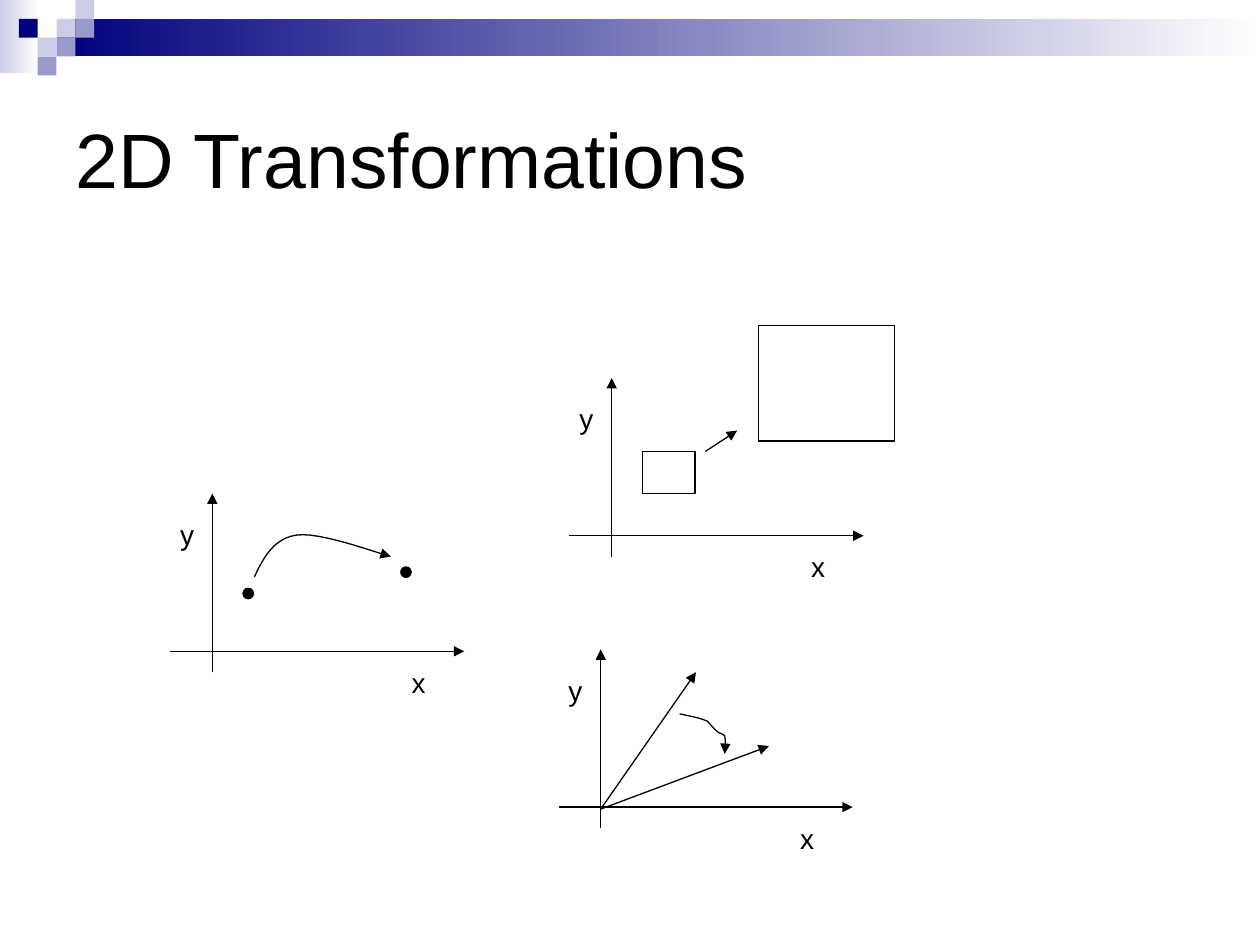
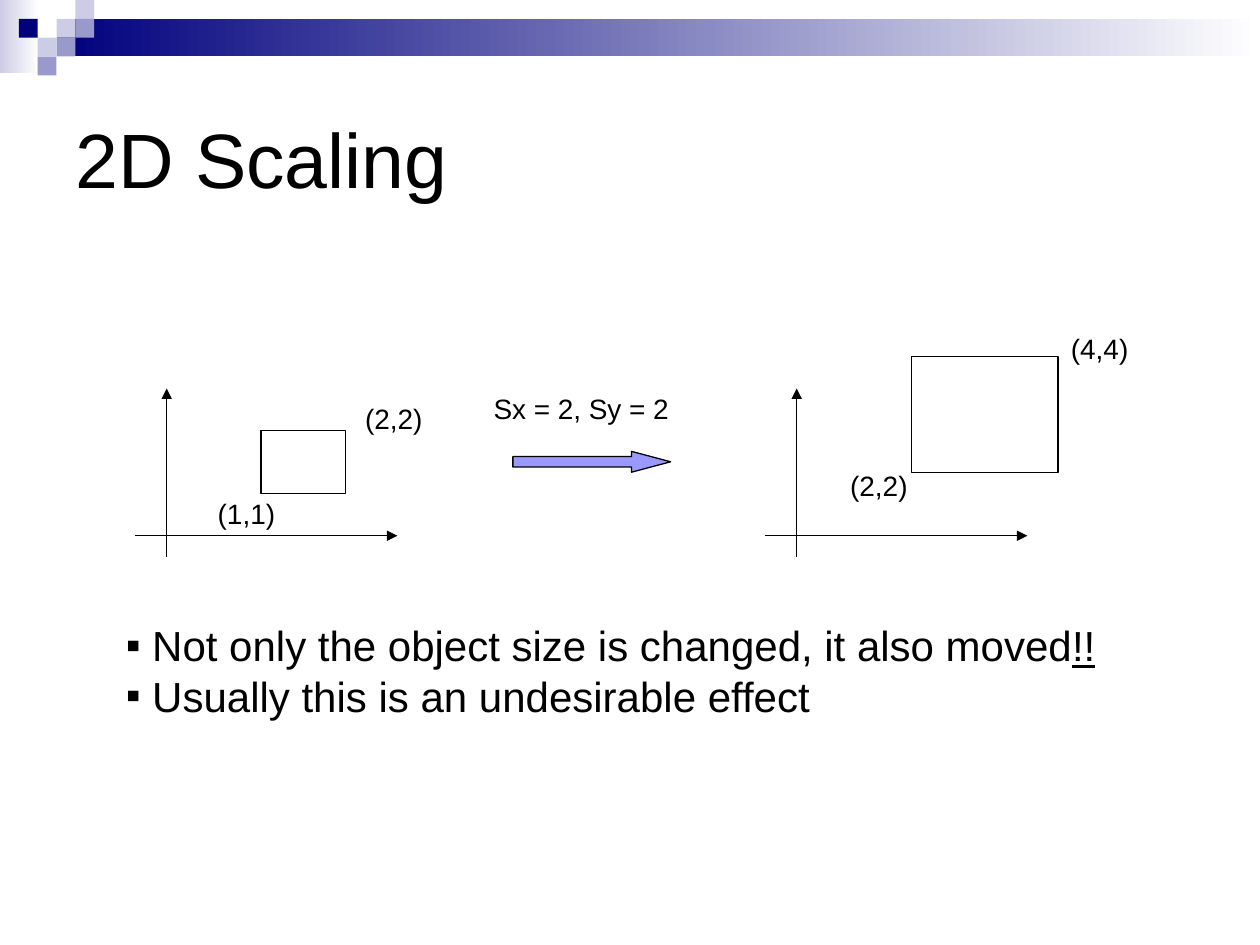
from dataclasses import dataclass
from typing import NamedTuple

from lxml import etree
from pptx import Presentation
from pptx.dml.color import RGBColor
from pptx.enum.shapes import MSO_CONNECTOR, MSO_SHAPE
from pptx.enum.text import MSO_ANCHOR
from pptx.oxml.ns import qn
from pptx.util import Cm, Pt

RECTANGLE = MSO_SHAPE.RECTANGLE
OVAL = MSO_SHAPE.OVAL
RIGHT_ARROW = MSO_SHAPE.RIGHT_ARROW
STRAIGHT = MSO_CONNECTOR.STRAIGHT
TOP, MIDDLE = MSO_ANCHOR.TOP, MSO_ANCHOR.MIDDLE


class Box(NamedTuple):
    """A region of a slide, in centimetres."""

    left: float
    top: float
    width: float
    height: float

    def at(self, x, y):
        """Return the slide position of a point given relative to the box."""
        return Cm(self.left + x), Cm(self.top + y)

    def inner(self, x, y, width, height):
        """Return a box placed relative to this one."""
        return Box(self.left + x, self.top + y, width, height)

    def lengths(self):
        """Return the four lengths of the box for python-pptx."""
        return [Cm(value) for value in self]


@dataclass(frozen=True)
class Theme:
    """Colours, type sizes and line width shared by the slides."""

    ink: RGBColor = RGBColor.from_string("000000")
    paper: RGBColor = RGBColor.from_string("FFFFFF")
    navy: RGBColor = RGBColor.from_string("00007D")
    mid: RGBColor = RGBColor.from_string("9999CC")
    light: RGBColor = RGBColor.from_string("CCCCE6")
    arrow: RGBColor = RGBColor.from_string("9999FF")
    font: str = "Arial"
    title_size: int = 44
    body_size: int = 24
    label_size: int = 16
    line_width: float = 0.75


THEME = Theme()
PAGE = Box(0, 0, 25.4, 19.05)
TILE = 0.38
TILES = [
    (3, 1, THEME.light), (4, 0, THEME.light), (4, 1, THEME.mid),
    (2, 2, THEME.light), (1, 1, THEME.navy), (3, 2, THEME.mid),
    (2, 3, THEME.mid),
]
AXIS_TAIL = 0.42


def add_run(paragraph, text, size, **formats):
    """Add a run in the theme font with the given format values."""
    run = paragraph.add_run()
    run.text = text
    values = {"name": THEME.font, "size": Pt(size), **formats}
    for name, value in values.items():
        setattr(run.font, name, value)
    run.font.color.rgb = THEME.ink


def add_frame(slide, box, wrap, anchor=TOP):
    """Add a text box and return its text frame."""
    frame = slide.shapes.add_textbox(*box.lengths()).text_frame
    for name, value in {"word_wrap": wrap, "vertical_anchor": anchor}.items():
        setattr(frame, name, value)
    return frame


def add_label(slide, box, text):
    """Add a short diagram label."""
    frame = add_frame(slide, box, False)
    add_run(frame.paragraphs[0], text, THEME.label_size)


def ink_line(shape):
    """Give a shape the thin black line of the diagrams."""
    shape.line.color.rgb = THEME.ink
    shape.line.width = Pt(THEME.line_width)


def add_head(shape):
    """Put a triangular arrowhead at the end of a line."""
    outline = shape.element.spPr.find(qn("a:ln"))
    etree.SubElement(outline, qn("a:tailEnd"), type="triangle")


def add_preset(slide, kind, box, fill=None, outlined=True):
    """Add a preset shape with a solid fill or none."""
    shape = slide.shapes.add_shape(kind, *box.lengths())
    shape.shadow.inherit = False
    if fill is None:
        shape.fill.background()
    else:
        shape.fill.solid()
        shape.fill.fore_color.rgb = fill
    if outlined:
        ink_line(shape)
    else:
        shape.line.fill.background()
    return shape


def add_gradient(slide, box, start):
    """Add a bar that fades from a colour to the paper colour."""
    bar = add_preset(slide, RECTANGLE, box, start, outlined=False)
    bar.fill.gradient()
    bar.fill.gradient_angle = 0
    for stop, colour in zip(bar.fill.gradient_stops, (start, THEME.paper)):
        stop.color.rgb = colour


def add_arrow(slide, box, start, end):
    """Add a straight arrow between two points of a box."""
    arrow = slide.shapes.add_connector(STRAIGHT, *box.at(*start), *box.at(*end))
    ink_line(arrow)
    add_head(arrow)
    etree.SubElement(arrow.element.spPr, qn("a:effectLst"))


def bezier(start, first, second, end, steps=12):
    """Return points along a cubic curve, leaving out its start."""
    points = []
    for step in range(1, steps + 1):
        t = step / steps
        s = 1 - t
        weights = (s**3, 3 * s * s * t, 3 * s * t * t, t**3)
        controls = (start, first, second, end)
        points.append(tuple(sum(w * c[axis] for w, c in zip(weights, controls))
                            for axis in (0, 1)))
    return points


def add_curved_arrow(slide, box, start, *curves):
    """Add an open curved arrow made of cubic curves."""
    points = [start]
    for curve in curves:
        points += bezier(points[-1], *curve)
    builder = slide.shapes.build_freeform(*box.at(*start))
    builder.add_line_segments([box.at(*point) for point in points[1:]], close=False)
    arrow = builder.convert_to_shape()
    arrow.shadow.inherit = False
    arrow.fill.background()
    ink_line(arrow)
    add_head(arrow)


def add_axes(slide, box, overhang):
    """Draw two axes that fill a box and cross near its lower left."""
    base = box.height - AXIS_TAIL
    add_arrow(slide, box, (0, base), (box.width, base))
    add_arrow(slide, box, (overhang, box.height), (overhang, 0))


def add_named_axes(slide, box):
    """Draw axes with their x and y labels."""
    add_axes(slide, box, 0.85)
    for name, x, y in (("x", 4.62, 3.34), ("y", -0.05, 0.36)):
        add_label(slide, box.inner(x, y, 0.79, 0.94), name)


def draw_translation(slide, box):
    """Show a point that moves."""
    add_named_axes(slide, box)
    for x, y in ((1.47, 1.91), (4.65, 1.48)):
        add_preset(slide, OVAL, box.inner(x, y, 0.21, 0.21), THEME.ink)
    add_curved_arrow(slide, box, (1.7, 1.68),
                     ((1.88, 1.3), (2.08, 0.91), (2.54, 0.84)),
                     ((3, 0.76), (4.14, 1.19), (4.45, 1.27)))


def draw_enlargement(slide, box):
    """Show a rectangle that grows."""
    add_named_axes(slide, box)
    for outline in ((1.47, 1.48, 1.06, 0.85), (3.81, -1.06, 2.75, 2.33)):
        add_preset(slide, RECTANGLE, box.inner(*outline))
    add_arrow(slide, box, (2.74, 1.48), (3.38, 1.06))


def draw_rotation(slide, box):
    """Show a vector that turns about the crossing of the axes."""
    add_named_axes(slide, box)
    for tip in ((2.77, 0.46), (4.24, 1.95)):
        add_arrow(slide, box, (0.85, 3.22), tip)
    add_curved_arrow(slide, box, (2.44, 1.3),
                     ((2.64, 1.35), (2.82, 1.37), (3, 1.45)),
                     ((3.07, 1.52), (3.15, 1.63), (3.23, 1.68)),
                     ((3.28, 1.7), (3.35, 1.73), (3.35, 1.75)),
                     ((3.38, 1.88), (3.35, 2.01), (3.35, 2.11)))


def draw_object(slide, box, outline, corners):
    """Show a rectangle on axes with the coordinates of its corners."""
    add_axes(slide, box, 0.64)
    add_preset(slide, RECTANGLE, box.inner(*outline))
    for text, x, y in corners:
        add_label(slide, box.inner(x, y, 1.73, 0.94), text)


def draw_factors(slide, box):
    """Show the scale factors above a block arrow."""
    block_arrow = add_preset(slide, RIGHT_ARROW,
                             box.inner(0.64, 1.33, 3.18, 0.42), THEME.arrow)
    block_arrow.adjustments[0] = 0.5
    block_arrow.adjustments[1] = 1.875
    add_label(slide, box.inner(0, 0, box.width, 0.94), "Sx = 2, Sy = 2")


def write_remarks(slide, box, remarks):
    """Write bulleted remarks, each a list of texts with underline flags."""
    frame = add_frame(slide, box, True)
    for index, remark in enumerate(remarks):
        paragraph = frame.add_paragraph() if index else frame.paragraphs[0]
        properties = paragraph._p.get_or_add_pPr()
        for name, value in {"marL": Cm(0.53), "indent": -Cm(0.53)}.items():
            properties.set(name, str(value))
        colour = etree.SubElement(properties, qn("a:buClr"))
        etree.SubElement(colour, qn("a:srgbClr"), val=str(THEME.ink))
        etree.SubElement(properties, qn("a:buFont"), typeface=THEME.font)
        etree.SubElement(properties, qn("a:buChar"), char="▪")
        for text, underline in remark:
            add_run(paragraph, text, THEME.body_size, underline=underline)


def draw_band(slide, box):
    """Draw the fading bars and the mosaic of tiles at the top."""
    add_gradient(slide, box.inner(0, 0, 0.79, 1.47), THEME.light)
    add_gradient(slide, box.inner(3 * TILE, TILE, box.width - 3 * TILE, 2 * TILE),
                 THEME.navy)
    for column, row, colour in TILES:
        tile = box.inner(column * TILE, row * TILE, TILE, TILE)
        add_preset(slide, RECTANGLE, tile, colour, outlined=False)


def add_titled_slide(prs, title):
    """Add a blank slide with the band and a title."""
    slide = prs.slides.add_slide(prs.slide_layouts[6])
    draw_band(slide, PAGE)
    frame = add_frame(slide, PAGE.inner(1.27, 1.27, 22.86, 3.81), True, MIDDLE)
    add_run(frame.paragraphs[0], title, THEME.title_size)
    return slide


def build_transformations(prs):
    """Build the overview of the three transformations."""
    slide = add_titled_slide(prs, "2D Transformations")
    draw_translation(slide, PAGE.inner(3.43, 9.95, 5.93, 3.6))
    draw_enlargement(slide, PAGE.inner(11.48, 7.62, 5.93, 3.6))
    draw_rotation(slide, PAGE.inner(11.26, 13.09, 5.93, 3.6))


def build_scaling(prs):
    """Build the worked example of scaling."""
    slide = add_titled_slide(prs, "2D Scaling")
    draw_object(slide, PAGE.inner(2.72, 7.83, 5.29, 3.39), (2.54, 0.85, 1.7, 1.27),
                [("(1,1)", 1.42, 2.05), ("(2,2)", 4.39, 0.15)])
    draw_factors(slide, PAGE.inner(9.7, 7.77, 4.55, 1.75))
    draw_object(slide, PAGE.inner(15.42, 7.83, 5.29, 3.39), (2.95, -0.64, 2.96, 2.33),
                [("(2,2)", 1.47, 1.49), ("(4,4)", 5.92, -1.28)])
    write_remarks(slide, PAGE.inner(2.29, 12.37, 20.57, 3.33), [
        [("Not only the object size is changed, it also moved", False), ("!!", True)],
        [("Usually this is an undesirable effect", False)],
    ])


def main():
    """Build and save the presentation."""
    prs = Presentation()
    prs.slide_width, prs.slide_height = Cm(PAGE.width), Cm(PAGE.height)
    build_transformations(prs)
    build_scaling(prs)
    prs.save("out.pptx")


if __name__ == "__main__":
    main()
